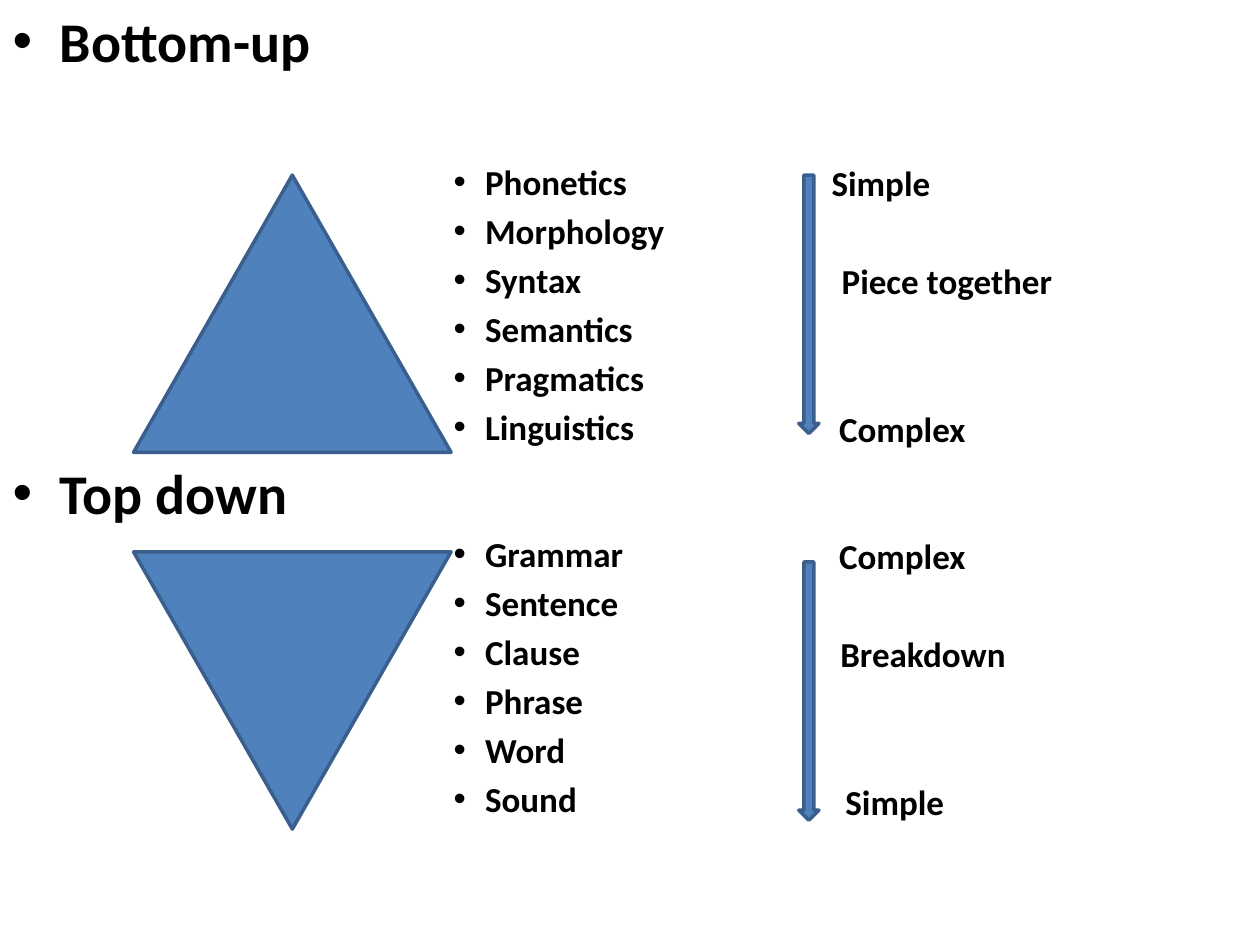
"""Build a slide comparing bottom-up and top-down views of language."""
import pptx
import pptx.util
import pptx.dml.color
import pptx.enum.shapes
import pptx.enum.text

Inches = pptx.util.Inches
Pt = pptx.util.Pt
RGB = pptx.dml.color.RGBColor
SHAPE = pptx.enum.shapes.MSO_SHAPE

THEME = {
    "font": "Calibri",
    "ink": RGB(0, 0, 0),
    "fill": RGB(0x4F, 0x81, 0xBD),
    "line": RGB(0x3A, 0x5F, 0x8C),
    "head": 32,
    "item": 20,
}
GROUPS = [
    {
        "head": "Bottom-up",
        "items": ["Phonetics", "Morphology", "Syntax", "Semantics", "Pragmatics", "Linguistics"],
        "labels": [(0, 6.6, "Simple"), (2, 6.68, "Piece together"), (5, 6.66, "Complex")],
        "gap": 49.5, "top": 1.28, "cone": 1.39, "arrow": 1.39, "turn": 0,
    },
    {
        "head": "Top down",
        "items": ["Grammar", "Sentence", "Clause", "Phrase", "Word", "Sound"],
        "labels": [(0, 6.66, "Complex"), (2, 6.67, "Breakdown"), (5, 6.71, "Simple")],
        "gap": None, "top": 4.24, "cone": 4.38, "arrow": 4.46, "turn": 180,
    },
]
PITCH = 0.39


def write(para, text, size):
    para.text = text
    font = para.font
    font.name, font.size, font.bold = THEME["font"], Pt(size), True
    font.color.rgb = THEME["ink"]


def add_form(slide, kind, box, turn=0):
    form = slide.shapes.add_shape(kind, *map(Inches, box))
    form.shadow.inherit = False
    form.rotation = turn
    form.fill.solid()
    form.fill.fore_color.rgb = THEME["fill"]
    form.line.color.rgb = THEME["line"]
    form.line.width = Pt(2)


def add_label(slide, left, top, text):
    box = slide.shapes.add_textbox(Inches(left), Inches(top), Inches(2.5), Inches(0.34))
    frame = box.text_frame
    frame.word_wrap = True
    frame.margin_left = frame.margin_right = frame.margin_top = frame.margin_bottom = 0
    frame.vertical_anchor = pptx.enum.text.MSO_ANCHOR.MIDDLE
    write(frame.paragraphs[0], text, THEME["item"])


def fill_body(body):
    body.left = body.top = 0
    body.width, body.height = Inches(10), Inches(7.5)
    frame = body.text_frame
    para = frame.paragraphs[0]
    for group in GROUPS:
        write(para, group["head"], THEME["head"])
        for row, item in enumerate(group["items"]):
            para = frame.add_paragraph()
            para.level = 7
            write(para, item, THEME["item"])
            if row == 0 and group["gap"]:
                para.space_before = Pt(group["gap"])
        if group is not GROUPS[-1]:
            para = frame.add_paragraph()


def main():
    deck = pptx.Presentation()
    deck.slide_width, deck.slide_height = Inches(10), Inches(7.5)
    slide = deck.slides.add_slide(deck.slide_layouts[1])
    title = slide.shapes.title.element
    title.getparent().remove(title)
    fill_body(slide.placeholders[1])
    for group in GROUPS:
        add_form(slide, SHAPE.FLOWCHART_EXTRACT, (1.06, group["cone"], 2.52, 2.2), group["turn"])
        add_form(slide, SHAPE.DOWN_ARROW, (6.34, group["arrow"], 0.16, 2.05))
        for row, left, text in group["labels"]:
            add_label(slide, left, group["top"] + row * PITCH, text)
    deck.save("out.pptx")


if __name__ == "__main__":
    main()
